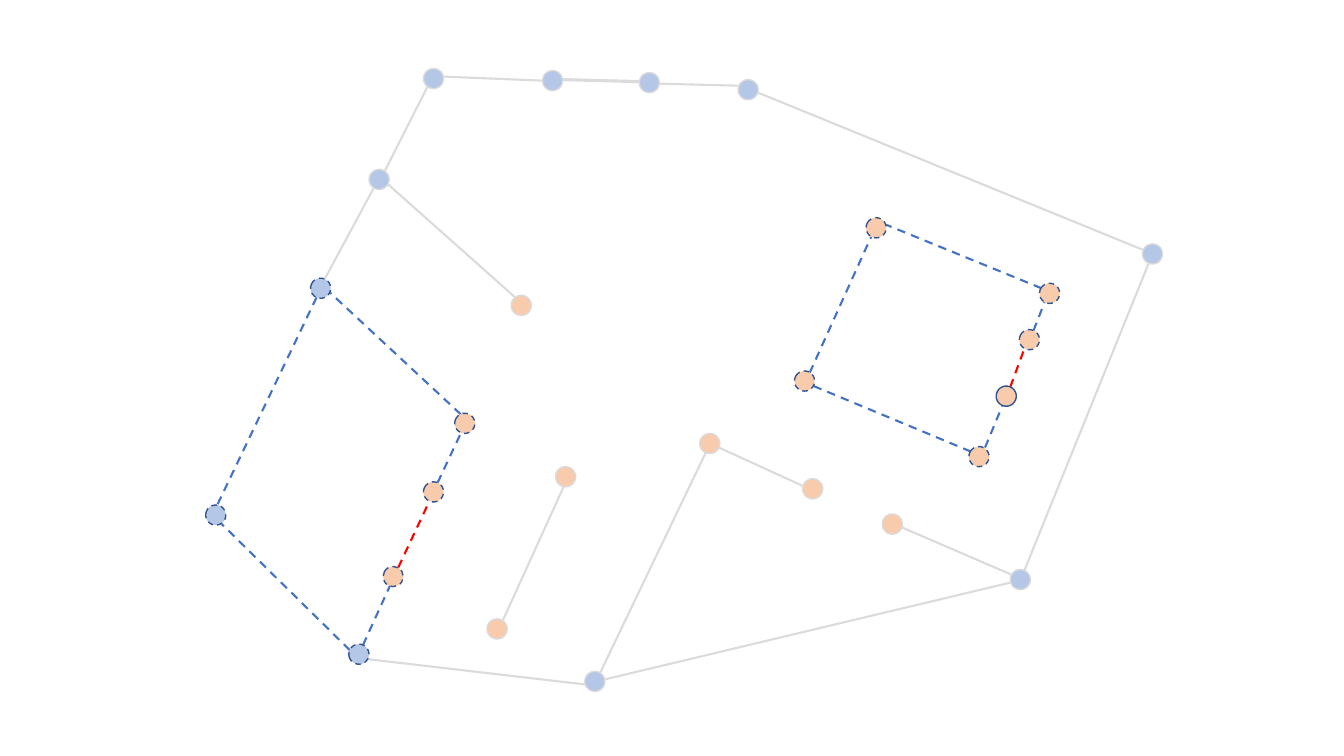
"""Draw a network of hull and inner nodes with two dashed loops."""
from dataclasses import dataclass
from typing import NamedTuple

from lxml import etree
from pptx import Presentation
from pptx.dml.color import RGBColor
from pptx.enum.dml import MSO_LINE
from pptx.enum.shapes import MSO_CONNECTOR, MSO_SHAPE
from pptx.oxml.ns import qn
from pptx.util import Emu, Pt

DASH = MSO_LINE.DASH
OVAL = MSO_SHAPE.OVAL
LINE = MSO_CONNECTOR.STRAIGHT
SCALE = 9144
WIDTH, HEIGHT = 1333, 750
SIZE = 20


@dataclass(frozen=True)
class Theme:
    hull: str = "B4C7E7"
    inner: str = "F8CBAD"
    plain: str = "DBDBDB"
    ring: str = "325491"
    loop: str = "4472C4"
    gap: str = "FF0000"
    rim: float = 1
    edge: float = 1.5
    bold: float = 2.25


THEME = Theme()


class Node(NamedTuple):
    left: int
    top: int
    turn: float
    fill: str
    ring: str = THEME.plain
    dash: bool = False


class Edge(NamedTuple):
    x1: int
    y1: int
    x2: int
    y2: int
    ink: str = THEME.plain
    width: float = THEME.edge


HULL = [
    (732, 79, 18.5), (1002, 565, 25.7), (1133, 242, 68.9), (580, 666, 345.6),
    (420, 68, 349.8), (366, 168, 348.5), (538, 70, 88.3), (634, 72, 51.4),
]
HULL_LOOP = [(308, 276, 23.9), (346, 639, 342), (204, 501, 9)]
INNER = [
    (483, 614, 32.2), (551, 463, 60.6), (507, 293, 276.5),
    (694, 430, 69.8), (796, 475, 20.9), (875, 510, 20.9),
]
INNER_LOOP = [
    (451, 410, 20.9), (788, 368, 29.7), (961, 443, 29.7), (1031, 281, 29.7),
    (859, 216, 29.7), (380, 562, 30), (420, 478, 25), (1011, 327, 25.9),
]
NODES = [
    *(Node(*spot, THEME.hull) for spot in HULL),
    *(Node(*spot, THEME.hull, THEME.ring, True) for spot in HULL_LOOP),
    *(Node(*spot, THEME.inner) for spot in INNER),
    *(Node(*spot, THEME.inner, THEME.ring, True) for spot in INNER_LOOP),
    Node(988, 383, 20.8, THEME.inner, THEME.ring),
]

PLAIN = [
    (322, 277, 371, 186), (600, 674, 1002, 578), (365, 654, 580, 679),
    (1016, 566, 1139, 262), (1134, 248, 752, 92), (538, 80, 440, 76),
    (796, 482, 713, 444), (595, 668, 700, 449), (499, 615, 559, 483),
    (511, 295, 385, 183), (1003, 570, 894, 523), (732, 85, 654, 83),
    (382, 169, 424, 86),
]
LOOP = [
    (314, 295, 215, 502), (347, 645, 220, 520), (457, 411, 327, 290),
    (360, 640, 395, 563), (434, 479, 457, 430), (977, 444, 994, 403),
    (963, 448, 807, 383), (803, 370, 864, 235), (1033, 286, 879, 223),
    (1025, 328, 1036, 300),
]
GAP = [(395, 563, 426, 497), (1002, 384, 1016, 346)]
EDGES = [
    *(Edge(*ends) for ends in PLAIN),
    Edge(558, 79, 634, 81, width=THEME.bold),
    *(Edge(*ends, THEME.loop) for ends in LOOP),
    *(Edge(*ends, THEME.gap) for ends in GAP),
]


def px(count: int) -> Emu:
    """Turn whole pixels into EMU."""
    return Emu(count * SCALE)


def stroke(line, ink: str, width: float, dash: bool) -> None:
    """Set the colour, width and dash of a line."""
    line.color.rgb = RGBColor.from_string(ink)
    line.width = Pt(width)
    if dash:
        line.dash_style = DASH


def add_edge(slide, edge: Edge) -> None:
    """Draw one straight edge."""
    ends = map(px, edge[:4])
    link = slide.shapes.add_connector(LINE, *ends)
    stroke(link.line, edge.ink, edge.width, edge.ink != THEME.plain)
    etree.SubElement(link._element.spPr, qn("a:effectLst"))


def add_node(slide, node: Node) -> None:
    """Draw one round node."""
    dot = slide.shapes.add_shape(
        OVAL, px(node.left), px(node.top), px(SIZE), px(SIZE))
    dot.rotation = node.turn
    dot.shadow.inherit = False
    dot.fill.solid()
    dot.fill.fore_color.rgb = RGBColor.from_string(node.fill)
    stroke(dot.line, node.ring, THEME.rim, node.dash)


def main() -> None:
    """Build and save the slide."""
    deck = Presentation()
    deck.slide_width, deck.slide_height = px(WIDTH), px(HEIGHT)
    slide = deck.slides.add_slide(deck.slide_layouts[6])
    for edge in EDGES:
        add_edge(slide, edge)
    for node in NODES:
        add_node(slide, node)
    deck.save("out.pptx")


if __name__ == "__main__":
    main()
